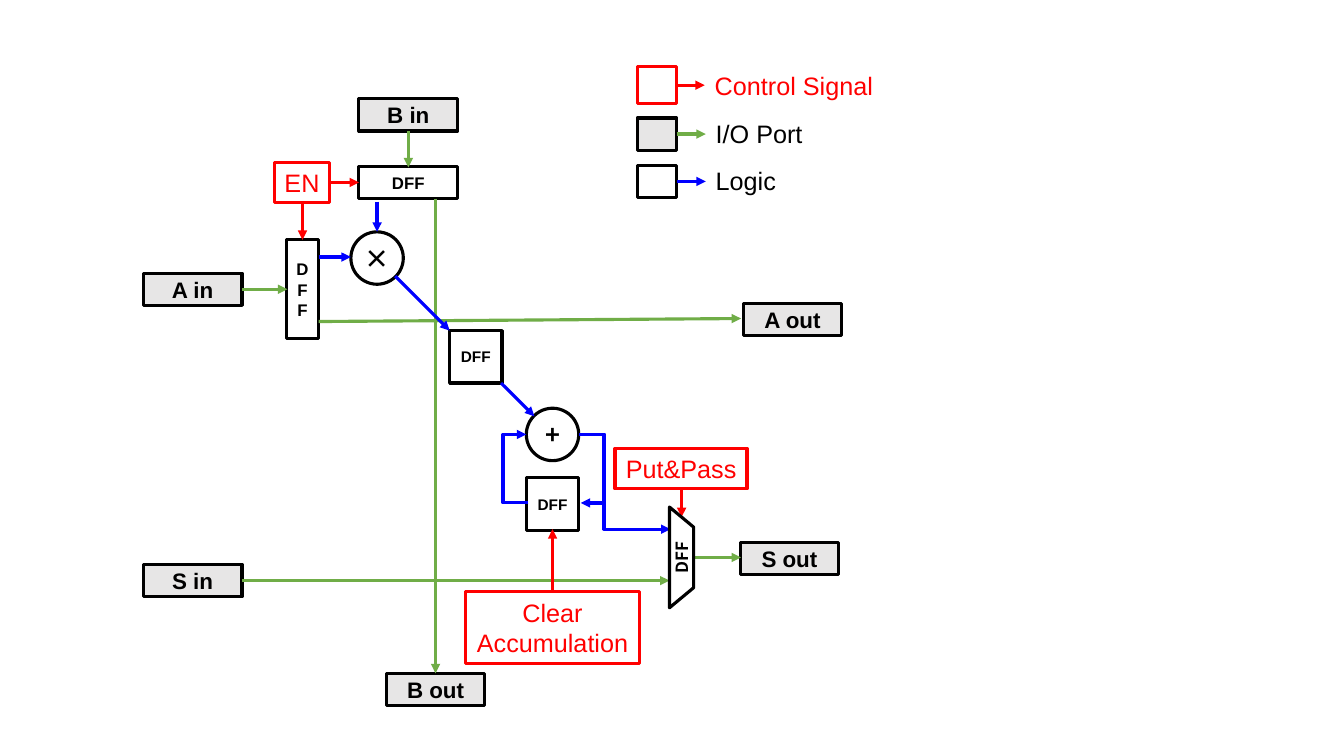
from dataclasses import dataclass
from typing import Optional

import lxml.etree
import pptx
import pptx.dml.color
import pptx.enum.shapes
import pptx.enum.text
import pptx.oxml.ns
import pptx.util

Inches = pptx.util.Inches
RGBColor = pptx.dml.color.RGBColor
MSO = pptx.enum.shapes.MSO_SHAPE
LINKS = pptx.enum.shapes.MSO_CONNECTOR
ALIGN = pptx.enum.text.PP_ALIGN
qn = pptx.oxml.ns.qn

BLACK = RGBColor(0x00, 0x00, 0x00)
WHITE = RGBColor(0xFF, 0xFF, 0xFF)
GREY = RGBColor(0xE7, 0xE6, 0xE6)
RED = RGBColor(0xFF, 0x00, 0x00)
GREEN = RGBColor(0x70, 0xAD, 0x47)
BLUE = RGBColor(0x00, 0x00, 0xFF)

SANS = "Arial"
CJK = "Noto Sans CJK SC"
LINE_WIDTH = pptx.util.Pt(2.25)
LONG, SHORT, UNIT = 0.98, 0.32, 0.52
LEGEND_X, LEGEND_W = 6.32, 0.39


@dataclass
class Node:
    """A block of the circuit; lengths in inches, size in points."""
    text: str
    x: float
    y: float
    w: float = LONG
    h: float = SHORT
    size: float = 16
    fill: Optional[RGBColor] = GREY
    color: RGBColor = BLACK
    font: str = SANS
    bold: bool = True
    shape: MSO = MSO.RECTANGLE
    rotation: float = 0


@dataclass
class Wire:
    """An arrow between two points, bent at the column via if given."""
    x1: float
    y1: float
    x2: float
    y2: float
    color: RGBColor
    via: Optional[float] = None


@dataclass
class LegendRow:
    """A sample box, its arrow and its label."""
    label: str
    y: float
    h: float
    fill: Optional[RGBColor]
    edge: RGBColor
    signal: RGBColor
    label_x: float
    label_y: float
    label_w: float


def register(x: float, y: float, w: float = UNIT, h: float = UNIT,
             size: float = 11, text: str = "DFF") -> Node:
    """Describe a flip-flop."""
    return Node(text, x, y, w, h, size, WHITE)


def operator(sign: str, x: float, y: float) -> Node:
    """Describe an arithmetic unit."""
    return Node(sign, x, y, UNIT, UNIT, 18, None, font=CJK, shape=MSO.OVAL)


def control(text: str, x: float, y: float, w: float, h: float = 0.4) -> Node:
    """Describe a control signal."""
    return Node(text, x, y, w, h, 18, None, RED, bold=False)


PORTS = [
    Node("A in", 1.42, 2.71), Node("B in", 3.56, 0.98), Node("S in", 1.42, 5.6),
    Node("A out", 7.37, 3.01), Node("B out", 3.83, 6.68), Node("S out", 7.34, 5.38),
]
UNITS = [
    register(3.56, 1.65, LONG, SHORT, 12),
    register(2.84, 2.38, SHORT, LONG, 12, "D\nF\nF"),
    register(4.46, 3.28), register(5.22, 4.74),
    operator("×", 3.48, 2.3), operator("+", 5.22, 4.05),
]
CONTROLS = [
    control("EN", 2.72, 1.61, 0.55), control("Put&Pass", 6.1, 4.45, 1.31),
    control("Clear\nAccumulation", 4.62, 5.87, 1.72, 0.71),
]
MUX = Node("DFF", 6.26, 5.41, 1, 0.24, 12, None, font=CJK,
           shape=MSO.FLOWCHART_MANUAL_OPERATION, rotation=270)
WIRES = [
    Wire(2.4, 2.87, 2.85, 2.87, GREEN), Wire(4.05, 1.3, 4.05, 1.66, GREEN),
    Wire(3.16, 3.19, 7.35, 3.16, GREEN), Wire(4.32, 1.97, 4.32, 6.68, GREEN),
    Wire(2.4, 5.76, 6.64, 5.76, GREEN), Wire(6.88, 5.53, 7.35, 5.53, GREEN),
    Wire(3.74, 2, 3.74, 2.3, BLUE), Wire(3.16, 2.55, 3.48, 2.55, BLUE),
    Wire(3.92, 2.74, 4.46, 3.28, BLUE), Wire(4.97, 3.8, 5.3, 4.13, BLUE),
    Wire(5.74, 4.31, 5.76, 4.99, BLUE, 5.99), Wire(5.24, 4.99, 5.22, 4.31, BLUE, 4.99),
    Wire(5.74, 4.31, 6.65, 5.25, BLUE, 5.99),
    Wire(3.28, 1.81, 3.56, 1.81, RED), Wire(3, 2.01, 3, 2.38, RED),
    Wire(6.76, 4.85, 6.76, 5.13, RED), Wire(5.48, 5.87, 5.48, 5.25, RED),
]
LEGEND = [
    LegendRow("Control Signal", 0.66, 0.37, None, RED, RED, 6.99, 0.65, 1.85),
    LegendRow("I/O Port", 1.17, SHORT, GREY, BLACK, GREEN, 7, 1.12, 1.19),
    LegendRow("Logic", 1.64, SHORT, WHITE, BLACK, BLUE, 7, 1.59, 1.19),
]


def write(tf, text: str, size: float, color: RGBColor, font: str = SANS,
          bold: bool = False, align: ALIGN = ALIGN.CENTER) -> None:
    """Fill a text frame, one paragraph for each line."""
    for i, line in enumerate(text.split("\n")):
        p = tf.add_paragraph() if i else tf.paragraphs[0]
        p.alignment = align
        r = p.add_run()
        r.text = line
        r.font.name, r.font.bold = font, bold
        r.font.size = pptx.util.Pt(size)
        r.font.color.rgb = color
        ea = lxml.etree.Element(qn("a:ea"), typeface=font)
        r.font._element.find(qn("a:latin")).addnext(ea)


def add_box(slide, shape: MSO, x: float, y: float, w: float, h: float,
            fill: Optional[RGBColor], edge: RGBColor):
    """Add an outlined preset shape."""
    sp = slide.shapes.add_shape(shape, Inches(x), Inches(y), Inches(w), Inches(h))
    sp.shadow.inherit = False
    if fill is None:
        sp.fill.background()
    else:
        sp.fill.solid()
        sp.fill.fore_color.rgb = fill
    sp.line.color.rgb = edge
    sp.line.width = LINE_WIDTH
    return sp


def add_node(slide, node: Node) -> None:
    """Draw a block with its text centred and no inner margins."""
    sp = add_box(slide, node.shape, node.x, node.y, node.w, node.h, node.fill, node.color)
    sp.rotation = node.rotation
    tf = sp.text_frame
    tf.word_wrap = False
    tf.margin_left = tf.margin_right = tf.margin_top = tf.margin_bottom = 0
    tf.vertical_anchor = pptx.enum.text.MSO_ANCHOR.MIDDLE
    write(tf, node.text, node.size, node.color, node.font, node.bold)


def add_wire(slide, wire: Wire) -> None:
    """Draw an arrow, straight or bent."""
    kind = LINKS.STRAIGHT if wire.via is None else LINKS.ELBOW
    c = slide.shapes.add_connector(kind, Inches(wire.x1), Inches(wire.y1),
                                   Inches(wire.x2), Inches(wire.y2))
    c.line.color.rgb = wire.color
    c.line.width = LINE_WIDTH
    lxml.etree.SubElement(c.line._get_or_add_ln(), qn("a:tailEnd"), type="triangle")
    sp_pr = c._element.spPr
    lxml.etree.SubElement(sp_pr, qn("a:effectLst"))
    if wire.via is not None:
        bend = round(100000 * (wire.via - wire.x1) / (wire.x2 - wire.x1))
        guides = sp_pr.find(qn("a:prstGeom")).get_or_add_avLst()
        lxml.etree.SubElement(guides, qn("a:gd"), name="adj1", fmla=f"val {bend}")


def add_legend_row(slide, row: LegendRow) -> None:
    """Draw one entry of the legend."""
    add_box(slide, MSO.RECTANGLE, LEGEND_X, row.y, LEGEND_W, row.h, row.fill, row.edge)
    middle = row.y + row.h / 2
    add_wire(slide, Wire(LEGEND_X + LEGEND_W, middle, row.label_x, middle, row.signal))
    tb = slide.shapes.add_textbox(Inches(row.label_x), Inches(row.label_y),
                                  Inches(row.label_w), Inches(0.4))
    tb.text_frame.word_wrap = True
    write(tb.text_frame, row.label, 18, row.edge, align=ALIGN.LEFT)


prs = pptx.Presentation()
prs.slide_width, prs.slide_height = Inches(13.33), Inches(7.5)
slide = prs.slides.add_slide(prs.slide_layouts[6])
for node in PORTS + UNITS + CONTROLS:
    add_node(slide, node)
for wire in WIRES:
    add_wire(slide, wire)
add_node(slide, MUX)
for row in LEGEND:
    add_legend_row(slide, row)
prs.save("out.pptx")
